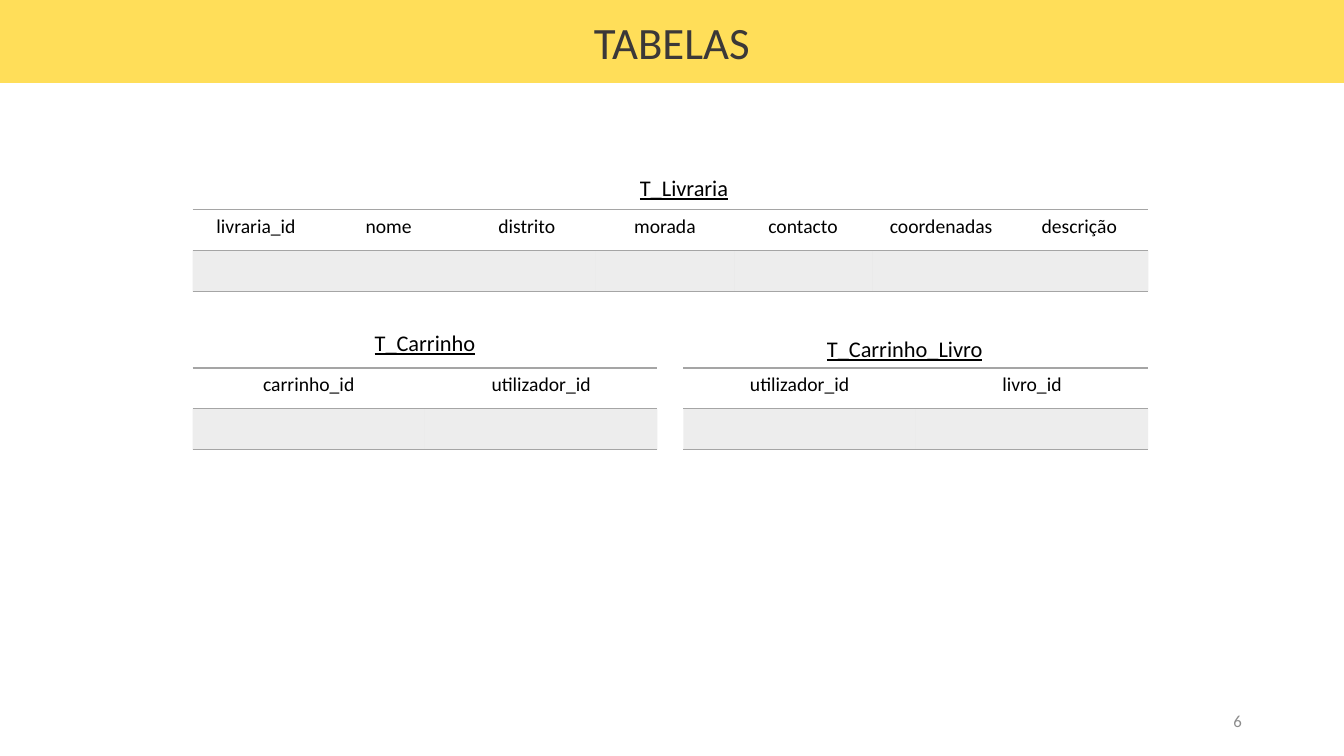
from lxml.etree import SubElement
from pptx import Presentation
from pptx.dml.color import RGBColor
from pptx.enum.shapes import MSO_SHAPE as Shape
from pptx.enum.text import MSO_ANCHOR as Anchor, MSO_AUTO_SIZE as AutoSize, PP_ALIGN as Align
from pptx.oxml.ns import qn
from pptx.util import Inches, Pt

BLACK, GREY, YELLOW = "000000", "A5A5A5", "FFDE59"
NO_STYLE = "{2D5ABB26-0587-4C30-8999-92F81FD0307C}"
LEFT, RIGHT, HALF = 14.33, 50.85, 34.58
ROW_HEIGHT, LABEL_HEIGHT = 5.41, 4.93


def color(value):
    return RGBColor.from_string(value)


class SlideBuilder:
    """Draws on one slide; boxes are (left, top, width, height) in percent of the slide."""

    font_name = "Calibri"

    def __init__(self, presentation):
        self.width = presentation.slide_width
        self.height = presentation.slide_height
        self.slide = presentation.slides.add_slide(presentation.slide_layouts[5])
        self.shapes = self.slide.shapes

    def place(self, box):
        sizes = (self.width, self.height) * 2
        return [int(size * share / 100) for size, share in zip(sizes, box)]

    def add_words(self, paragraph, text, align=Align.CENTER, ink=BLACK, **formats):
        paragraph.alignment = align
        run = paragraph.add_run()
        run.text = text
        for name, value in {"name": self.font_name, **formats}.items():
            setattr(run.font, name, value)
        run.font.color.rgb = color(ink)

    def band(self, box, fill):
        shape = self.shapes.add_shape(Shape.RECTANGLE, *self.place(box))
        shape.shadow.inherit = False
        shape.fill.solid()
        shape.fill.fore_color.rgb = color(fill)
        shape.line.color.rgb = color(fill)
        shape.line.width = Pt(1)
        self.shapes.title.element.addprevious(shape.element)

    def title(self, box, text, **formats):
        title = self.shapes.title
        for name, value in zip(("left", "top", "width", "height"), self.place(box)):
            setattr(title, name, value)
        frame = title.text_frame
        frame.auto_size = AutoSize.NONE
        frame.vertical_anchor = Anchor.TOP
        self.add_words(frame.paragraphs[0], text, **formats)

    def text(self, box, text, anchor=Anchor.TOP, **formats):
        frame = self.shapes.add_textbox(*self.place(box)).text_frame
        frame.word_wrap = True
        frame.vertical_anchor = anchor
        self.add_words(frame.paragraphs[0], text, **formats)

    def rule(self, cell, tag):
        line = SubElement(cell._tc.get_or_add_tcPr(), qn(tag), w=str(int(Pt(1))))
        fill = SubElement(line, qn("a:solidFill"))
        SubElement(fill, qn("a:srgbClr"), val=GREY)

    def table(self, left, top, widths, headings):
        """Adds a heading row above one empty, tinted row."""
        box = (left, top, sum(widths), 2 * ROW_HEIGHT)
        frame = self.shapes.add_table(2, len(headings), *self.place(box))
        table = frame.table
        table.first_row = table.horz_banding = False
        frame.element.xpath(".//a:tableStyleId")[0].text = NO_STYLE
        for column, width in zip(table.columns, widths):
            column.width = int(self.width * width / 100)
        for index, heading in enumerate(headings):
            header, blank = table.cell(0, index), table.cell(1, index)
            self.add_words(header.text_frame.paragraphs[0], heading, size=Pt(14))
            for cell in (header, blank):
                self.rule(cell, "a:lnT")
                self.rule(cell, "a:lnB")
            header.fill.background()
            blank.fill.solid()
            blank.fill.fore_color.rgb = color(GREY)
            tint = blank._tc.tcPr.find(f"{qn('a:solidFill')}/{qn('a:srgbClr')}")
            SubElement(tint, qn("a:alpha"), val="20000")


def main():
    presentation = Presentation()
    presentation.slide_width, presentation.slide_height = Inches(13.33), Inches(7.5)
    builder = SlideBuilder(presentation)

    builder.band((0, 0, 100, 10.93), YELLOW)
    builder.title((28.2, 1.33, 43.58, 8.53), "TABELAS", size=Pt(32), ink="3B3838")

    labels = [
        ("T_Livraria", 6.08, 22.4, 89.63),
        ("T_Carrinho", LEFT, 42.93, HALF),
        ("T_Carrinho_Livro", 50.03, 43.73, HALF),
    ]
    for text, left, top, width in labels:
        builder.text((left, top, width, LABEL_HEIGHT), text, size=Pt(16), underline=True)

    bookshop_fields = ["livraria_id", "nome", "distrito", "morada",
                       "contacto", "coordenadas", "descrição"]
    builder.table(LEFT, 27.73, [9.45] + [10.28] * 6, bookshop_fields)
    builder.table(LEFT, 48.67, [HALF / 2] * 2, ["carrinho_id", "utilizador_id"])
    builder.table(RIGHT, 48.67, [HALF / 2] * 2, ["utilizador_id", "livro_id"])

    builder.text((70.65, 92.67, 22.5, 5.33), "6", anchor=Anchor.MIDDLE,
                 align=Align.RIGHT, size=Pt(12), ink="8C8C8C")
    presentation.save("out.pptx")


if __name__ == "__main__":
    main()
